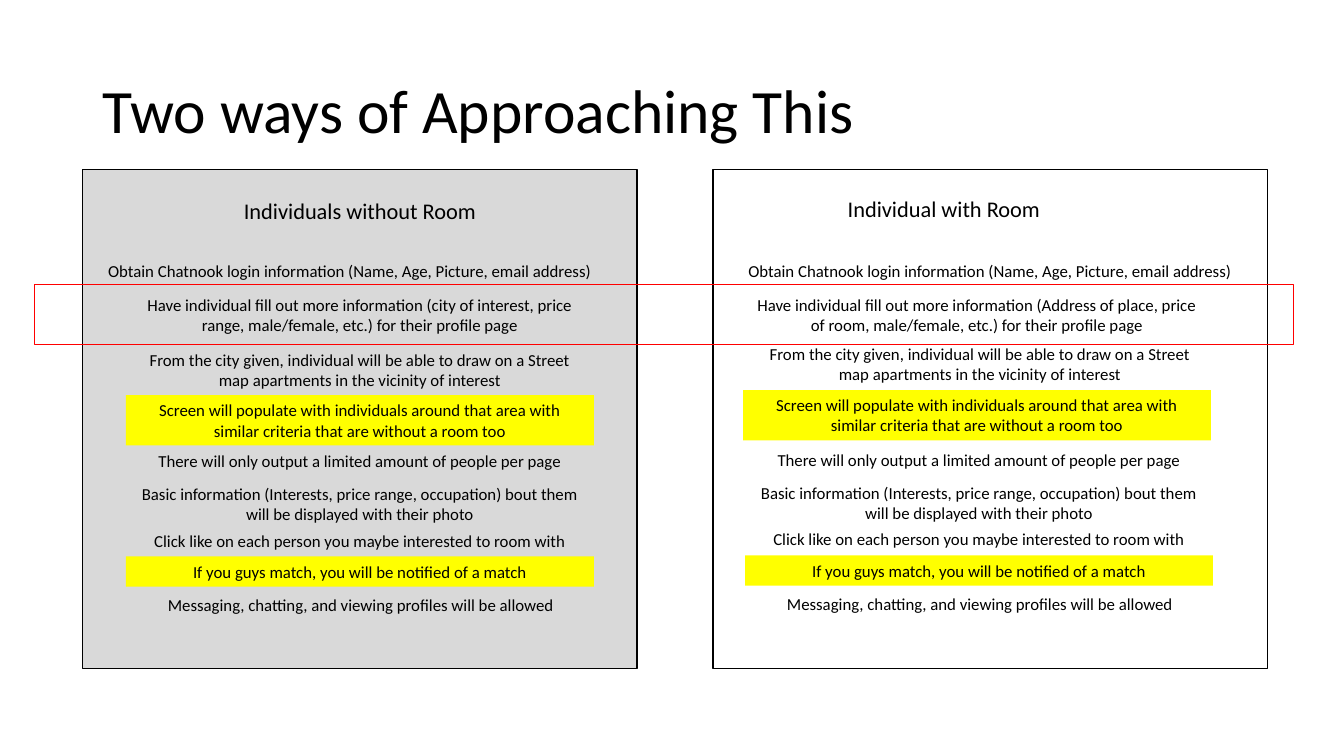
from pptx import Presentation
from pptx import util as u
from pptx.dml.color import RGBColor
from pptx.enum import shapes, text

PX = u.Inches(1) // 100
COLORS = {"ink": "000000", "panel": "D9D9D9", "highlight": "FFFF00", "frame": "FF0000"}
STEP_WIDTH = 464
ONE_LINE, TWO_LINES = 30, 50

LOGIN = "Obtain Chatnook login information (Name, Age, Picture, email address)"
PROFILE = "Have individual fill out more information ({}, male/female, etc.) for their profile page"
DRAW = "From the city given, individual will be able to draw on a Street map apartments in the vicinity of interest"
SCREEN = "Screen will populate with individuals around that area with similar criteria that are without a room too"
LIMIT = "There will only output a limited amount of people per page"
BASIC = "Basic information (Interests, price range, occupation) bout them will be displayed with their photo"
CLICK = "Click like on each person you maybe interested to room with"
MATCH = "If you guys match, you will be notified of a match"
MESSAGING = "Messaging, chatting, and viewing profiles will be allowed"

STEPS = [
    (DRAW, TWO_LINES, None),
    (SCREEN, TWO_LINES, "highlight"),
    (LIMIT, ONE_LINE, None),
    (BASIC, TWO_LINES, None),
    (CLICK, ONE_LINE, None),
    (MATCH, ONE_LINE, "highlight"),
    (MESSAGING, ONE_LINE, None),
]

COLUMNS = [
    {
        "panel_left": 82, "fill": "panel", "login_left": 92,
        "heading": ("Individuals without Room", (213, 191, 288, 37), "CENTER"),
        "profile": ("city of interest, price range", 125),
        "places": [(125, 342), (125, 392), (125, 442), (125, 475), (125, 522), (125, 552), (126, 585)],
    },
    {
        "panel_left": 707, "fill": None, "login_left": 727,
        "heading": ("Individual with Room", (831, 189, 283, 37), "LEFT"),
        "profile": ("Address of place, price of room", 737),
        "places": [(740, 336), (737, 387), (739, 441), (739, 474), (739, 520), (739, 551), (740, 584)],
    },
]


def color(name):
    """Return the named colour."""
    return RGBColor.from_string(COLORS[name])


def scale(lengths):
    """Turn px lengths into EMU."""
    return [length * PX for length in lengths]


def add_rectangle(page, place, fill=None, line=None):
    """Add a rectangle with an optional fill and outline."""
    box = page.shapes.add_shape(shapes.MSO_SHAPE.RECTANGLE, *scale(place))
    box.shadow.inherit = False
    if fill:
        box.fill.solid()
        box.fill.fore_color.rgb = color(fill)
    else:
        box.fill.background()
    if line:
        box.line.color.rgb = color(line)
        box.line.width = u.Pt(1)
    else:
        box.line.fill.background()
    return box


def add_text(page, words, place, size=12, align="CENTER", anchor="TOP", spacing=1.0, fill=None):
    """Add a wrapped paragraph, on a filled rectangle if a fill is named."""
    if fill:
        box = add_rectangle(page, place, fill=fill)
    else:
        box = page.shapes.add_textbox(*scale(place))
    frame = box.text_frame
    frame.word_wrap = True
    frame.vertical_anchor = text.MSO_ANCHOR[anchor]
    para = frame.paragraphs[0]
    para.alignment = text.PP_ALIGN[align]
    para.line_spacing = spacing
    span = para.add_run()
    span.text = words
    span.font.size = u.Pt(size)
    span.font.name = "Calibri"
    span.font.color.rgb = color("ink")


def add_column(page, column):
    """Add one panel with its heading and steps."""
    add_rectangle(page, (column["panel_left"], 168, 550, 495), column["fill"], "ink")
    heading, place, align = column["heading"]
    add_text(page, heading, place, size=16, align=align)
    add_text(page, LOGIN, (column["login_left"], 254, 510, ONE_LINE))
    details, left = column["profile"]
    add_text(page, PROFILE.format(details), (left, 287, STEP_WIDTH, TWO_LINES))
    for (words, height, fill), (left, top) in zip(STEPS, column["places"]):
        add_text(page, words, (left, top, STEP_WIDTH, height), fill=fill)


def main():
    """Build and save the deck."""
    deck = Presentation()
    deck.slide_width, deck.slide_height = scale((1333, 750))
    page = deck.slides.add_slide(deck.slide_layouts[6])
    add_text(page, "Two ways of Approaching This", (92, 40, 1150, 145),
             size=44, align="LEFT", anchor="MIDDLE", spacing=0.9)
    for column in COLUMNS:
        add_column(page, column)
    add_rectangle(page, (34, 282, 1249, 60), line="frame")
    deck.save("out.pptx")


if __name__ == "__main__":
    main()
